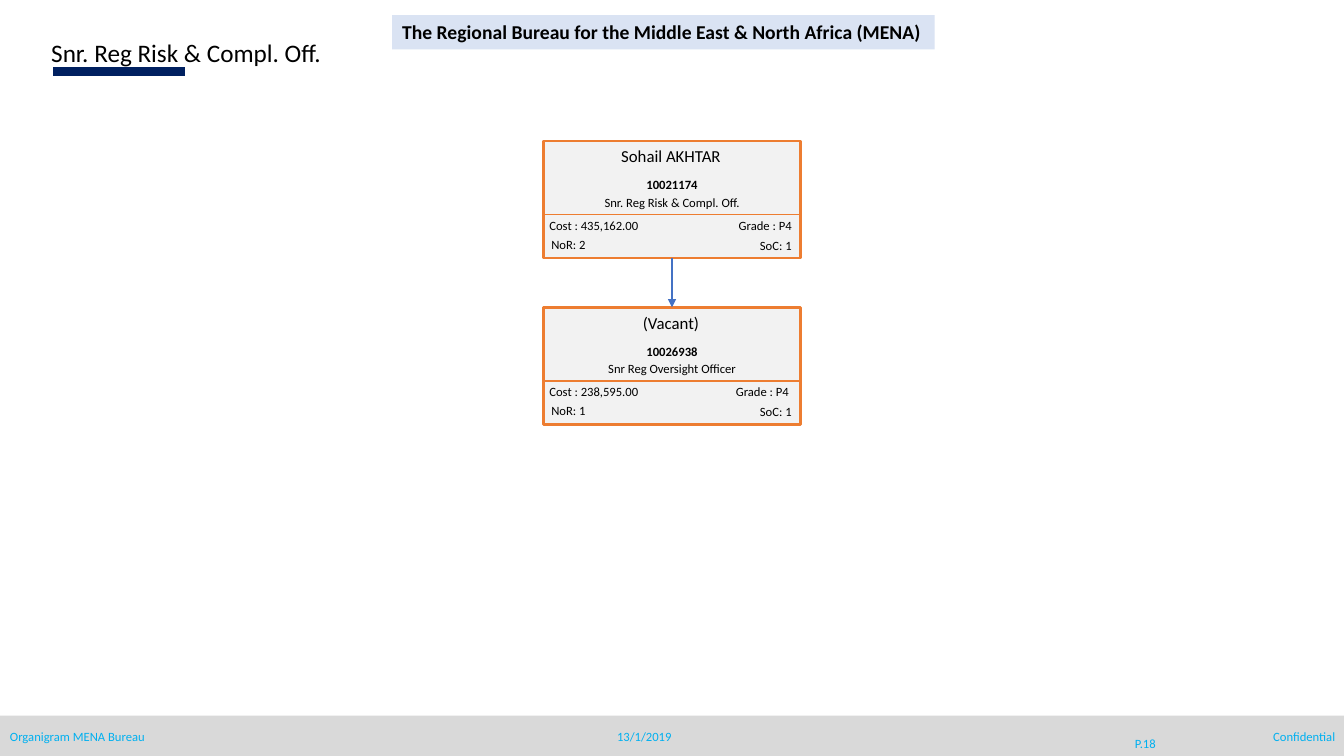
from dataclasses import dataclass

from lxml import etree
from pptx import Presentation
from pptx.dml.color import RGBColor
from pptx.enum.shapes import MSO_CONNECTOR, MSO_SHAPE
from pptx.enum.text import MSO_ANCHOR, PP_ALIGN
from pptx.oxml.ns import qn
from pptx.util import Inches, Pt

STRAIGHT = MSO_CONNECTOR.STRAIGHT
RECTANGLE = MSO_SHAPE.RECTANGLE
LEFT, CENTER, RIGHT = PP_ALIGN.LEFT, PP_ALIGN.CENTER, PP_ALIGN.RIGHT
TOP, MIDDLE = MSO_ANCHOR.TOP, MSO_ANCHOR.MIDDLE
BOTTOM_SIDE, TOP_SIDE = 2, 0


@dataclass(frozen=True)
class Theme:
    font: str = "Calibri"
    black: str = "000000"
    navy: str = "002060"
    footer_fill: str = "D9D9D9"
    footer_text: str = "00B0F0"
    card_fill: str = "F2F2F2"
    card_line: str = "ED7D31"
    banner_fill: str = "DAE3F3"
    arrow: str = "4472C4"
    heading: int = 18
    banner: int = 14
    name: int = 12
    small: int = 9


THEME = Theme()
CARD_LEFT, CARD_WIDTH, CARD_HEIGHT = 5.39, 2.55, 1.16
DIVIDER_OFFSET = 0.73
LINE_HEIGHT = 0.25


def color(value):
    return RGBColor.from_string(value)


def write(frame, text, size, ink, align, anchor=TOP, bold=False, wrap=True):
    frame.word_wrap = wrap
    frame.vertical_anchor = anchor
    para = frame.paragraphs[0]
    para.alignment = align
    span = para.add_run()
    span.text = text
    span.font.name = THEME.font
    span.font.size = Pt(size)
    span.font.bold = bold
    span.font.color.rgb = color(ink)


def add_text(page, area, text, size=THEME.small, ink=THEME.black, align=LEFT,
             anchor=TOP, bold=False):
    box = page.shapes.add_textbox(*map(Inches, area))
    write(box.text_frame, text, size, ink, align, anchor, bold)


def add_box(page, area, fill, line=None):
    box = page.shapes.add_shape(RECTANGLE, *map(Inches, area))
    box.shadow.inherit = False
    box.fill.solid()
    box.fill.fore_color.rgb = color(fill)
    if line:
        box.line.color.rgb = color(line)
        box.line.width = Pt(2)
    else:
        box.line.fill.background()
    return box


def add_line(page, start, end, ink, width):
    line = page.shapes.add_connector(STRAIGHT, *map(Inches, start + end))
    line.line.color.rgb = color(ink)
    line.line.width = Pt(width)
    etree.SubElement(line._element.spPr, qn("a:effectLst"))
    return line


def add_arrow(page, upper, lower):
    middle = CARD_LEFT + CARD_WIDTH / 2
    arrow = add_line(page, (middle, 2.56), (middle, 3.05), THEME.arrow, 1.5)
    arrow.begin_connect(upper, BOTTOM_SIDE)
    arrow.end_connect(lower, TOP_SIDE)
    outline = arrow.line._get_or_add_ln()
    etree.SubElement(outline, qn("a:tailEnd"), type="triangle")


def add_card(page, top, name, number, role, cost, grade, reports, span_of_control):
    card = add_box(page, (CARD_LEFT, top, CARD_WIDTH, CARD_HEIGHT),
                   THEME.card_fill, THEME.card_line)
    add_text(page, (CARD_LEFT - 0.01, top, CARD_WIDTH, 0.3), name,
             size=THEME.name, align=CENTER)
    add_text(page, (CARD_LEFT, top + 0.31, CARD_WIDTH, LINE_HEIGHT), number,
             align=CENTER, bold=True)
    add_text(page, (CARD_LEFT, top + 0.48, CARD_WIDTH, LINE_HEIGHT), role, align=CENTER)
    divider = top + DIVIDER_OFFSET
    add_line(page, (CARD_LEFT, divider), (CARD_LEFT + CARD_WIDTH, divider),
             THEME.card_line, 1)
    details = [
        (5.35, 0.71, 1.58, cost, LEFT),
        (6.73, 0.71, 1.22, grade, RIGHT),
        (5.37, 0.9, 0.78, reports, LEFT),
        (6.93, 0.91, 1.02, span_of_control, RIGHT),
    ]
    for left, offset, width, text, align in details:
        add_text(page, (left, top + offset, width, LINE_HEIGHT), text, align=align)
    return card


def add_heading(page):
    add_line(page, (0.53, 0.71), (1.84, 0.71), THEME.navy, 7)
    add_text(page, (0.41, 0.32, 5.3, 0.41), "Snr. Reg Risk & Compl. Off.",
             size=THEME.heading)
    banner = add_box(page, (3.89, 0.15, 5.38, 0.34), THEME.banner_fill)
    write(banner.text_frame,
          "The Regional Bureau for the Middle East & North Africa (MENA)",
          THEME.banner, THEME.black, LEFT, bold=True, wrap=False)


def add_footer(page):
    add_box(page, (0, 7.1, 13.33, 0.4), THEME.footer_fill)
    notes = [
        (0, 3.08, LINE_HEIGHT, "Organigram MENA Bureau", LEFT, TOP),
        (5.95, 0.88, LINE_HEIGHT, "13/1/2019", CENTER, MIDDLE),
        (10.96, 0.8, 0.4, "P.18", CENTER, MIDDLE),
        (10.26, 3.08, LINE_HEIGHT, "Confidential", RIGHT, TOP),
    ]
    for left, width, height, text, align, anchor in notes:
        add_text(page, (left, 7.18, width, height), text, ink=THEME.footer_text,
                 align=align, anchor=anchor)


def main():
    deck = Presentation()
    deck.slide_width, deck.slide_height = Inches(13.33), Inches(7.5)
    page = deck.slides.add_slide(deck.slide_layouts[6])
    add_footer(page)
    add_heading(page)
    officer = add_card(page, 1.4, "Sohail AKHTAR", "10021174",
                       "Snr. Reg Risk & Compl. Off.", "Cost : 435,162.00",
                       "Grade : P4", "NoR: 2", "SoC: 1")
    vacancy = add_card(page, 3.05, "(Vacant)", "10026938",
                       "Snr Reg Oversight Officer", "Cost : 238,595.00",
                       "Grade : P4 ", "NoR: 1", "SoC: 1")
    add_arrow(page, officer, vacancy)
    deck.save("out.pptx")


if __name__ == "__main__":
    main()
